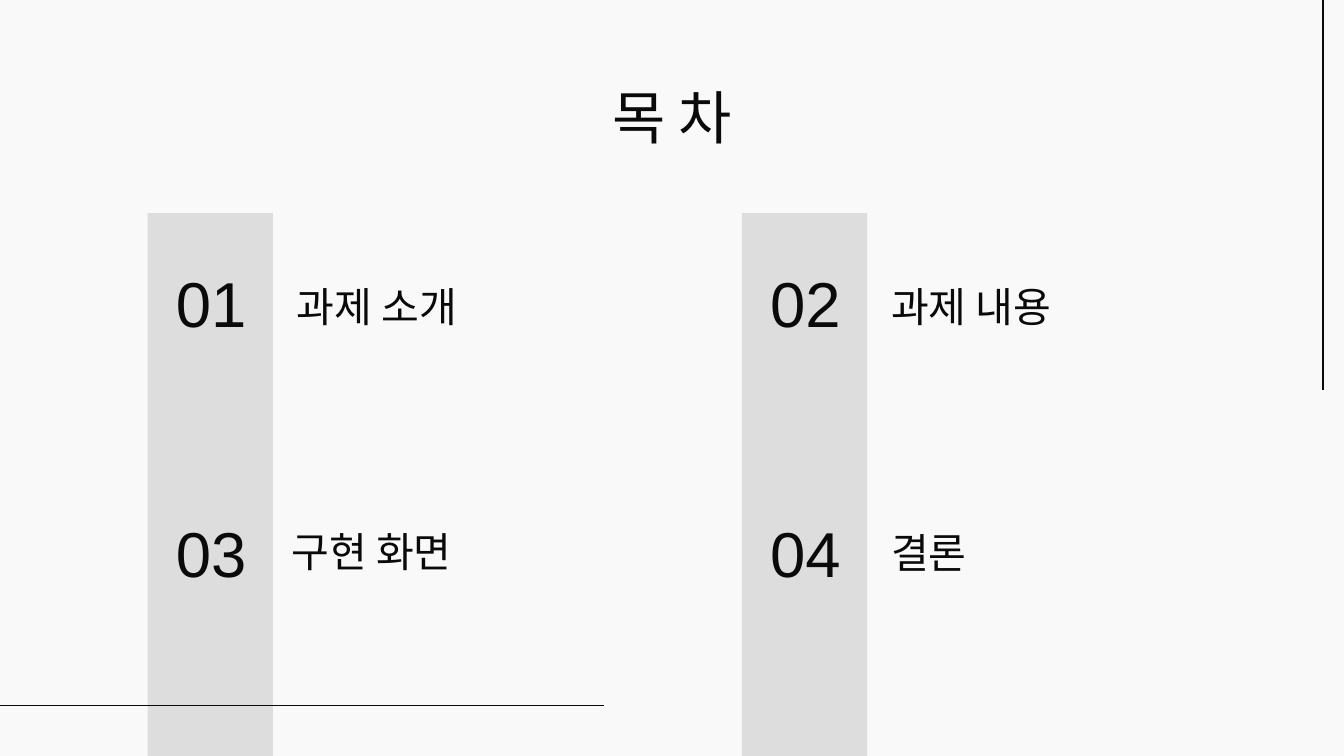
"""Build a table-of-contents slide with four numbered entries in two columns."""
import dataclasses

import pptx
import pptx.dml.color
import pptx.enum.shapes
import pptx.enum.text
import pptx.oxml
import pptx.util
from pptx.util import Cm


@dataclasses.dataclass(frozen=True)
class Theme:
    background: str = "F9F9F9"
    band: str = "DDDDDD"
    ink: str = "0A0A0A"
    font: str = "Arial"
    title_size: int = 31
    number_size: int = 34
    label_size: int = 22
    line_width: float = 0.75


theme = Theme()
Align = pptx.enum.text.PP_ALIGN
Anchor = pptx.enum.text.MSO_ANCHOR


def color(value):
    return pptx.dml.color.RGBColor.from_string(value)


def add_text(text, left, top, width, height, size, align, anchor):
    shape = slide.shapes.add_textbox(Cm(left), Cm(top), Cm(width), Cm(height))
    frame = shape.text_frame
    frame.word_wrap = True
    frame.vertical_anchor = anchor
    frame.margin_left = frame.margin_right = Cm(0.25)
    frame.margin_top = frame.margin_bottom = Cm(0.25)
    paragraph = frame.paragraphs[0]
    paragraph.text = text
    paragraph.alignment = align
    paragraph.font.name = theme.font
    paragraph.font.size = pptx.util.Pt(size)
    paragraph.font.color.rgb = color(theme.ink)


presentation = pptx.Presentation()
presentation.slide_width = Cm(25.4)
presentation.slide_height = Cm(14.29)
slide = presentation.slides.add_slide(presentation.slide_layouts[6])
slide.background.fill.solid()
slide.background.fill.fore_color.rgb = color(theme.background)

column_pitch = 11.23
row_pitch = 4.73
band_top = 4.03

for column in range(2):
    band = slide.shapes.add_shape(
        pptx.enum.shapes.MSO_SHAPE.RECTANGLE,
        Cm(2.79 + column * column_pitch), Cm(band_top),
        Cm(2.37), presentation.slide_height - Cm(band_top))
    band.shadow.inherit = False
    band.fill.solid()
    band.fill.fore_color.rgb = color(theme.band)
    band.line.fill.background()

for start_x, start_y, end_x, end_y in [(25, 7.37, 25, 0), (0, 13.33, 11.41, 13.33)]:
    connector = slide.shapes.add_connector(
        pptx.enum.shapes.MSO_CONNECTOR.STRAIGHT,
        Cm(start_x), Cm(start_y), Cm(end_x), Cm(end_y))
    connector.line.color.rgb = color(theme.ink)
    connector.line.width = pptx.util.Pt(theme.line_width)
    connector._element.spPr.append(pptx.oxml.parse_xml(
        '<a:effectLst xmlns:a="http://schemas.openxmlformats.org/drawingml/2006/main"/>'))

add_text("목 차", 1.98, 1.3, 21.44, 1.52, theme.title_size, Align.CENTER, Anchor.TOP)

entries = [
    ("과제 소개", 5.36, 4.27, 6.35),
    ("과제 내용", 16.59, 4.27, 6.35),
    ("구현 화면", 5.26, 8.89, 6.35),
    ("결론", 16.59, 8.92, 8.64),
]
for index, (label, left, top, width) in enumerate(entries):
    row, column = divmod(index, 2)
    add_text(f"{index + 1:02}", 2.77 + column * column_pitch, 4.11 + row * row_pitch,
             2.44, 3.2, theme.number_size, Align.CENTER, Anchor.MIDDLE)
    add_text(label, left, top, width, 2.24, theme.label_size, Align.LEFT, Anchor.BOTTOM)

presentation.save("out.pptx")
